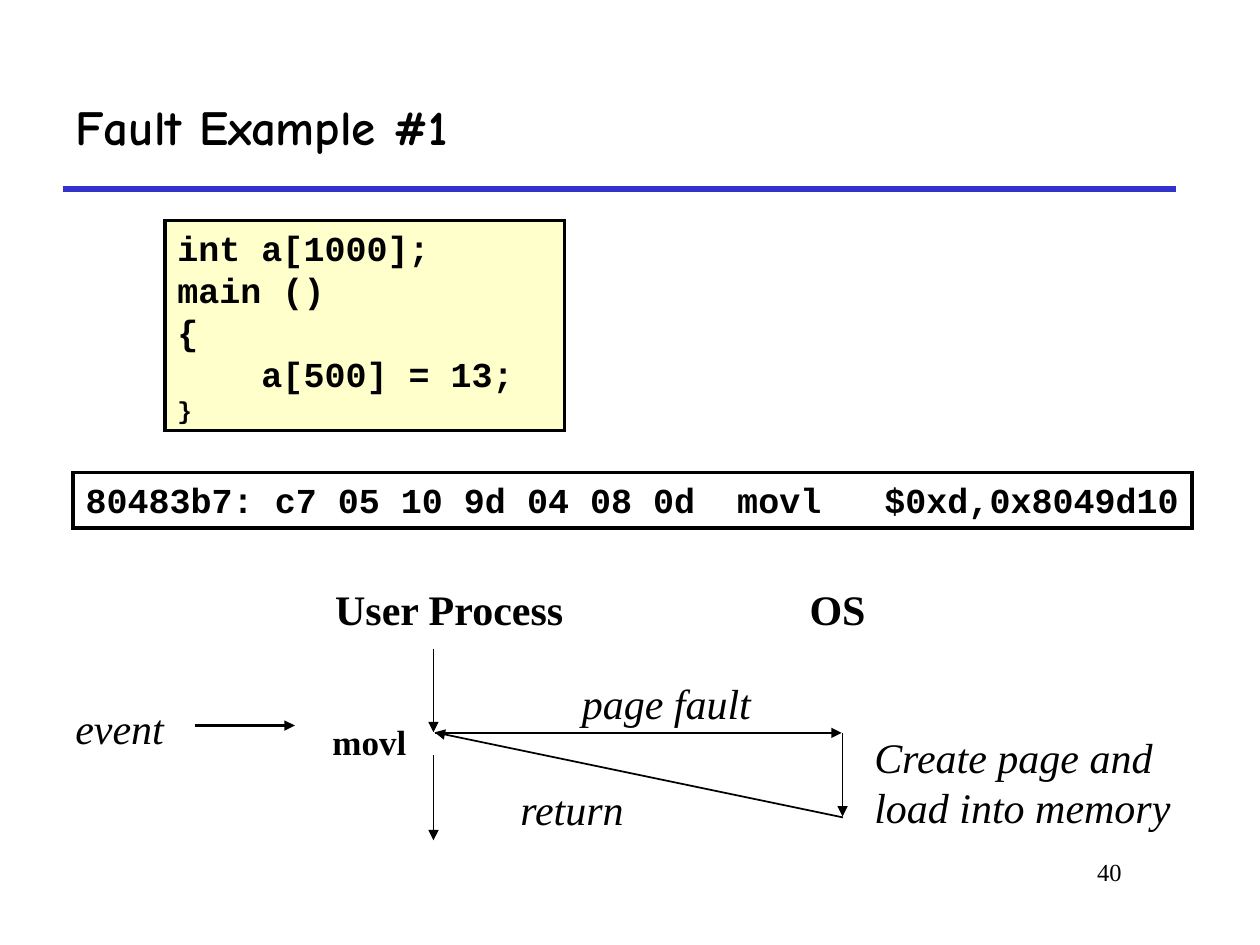
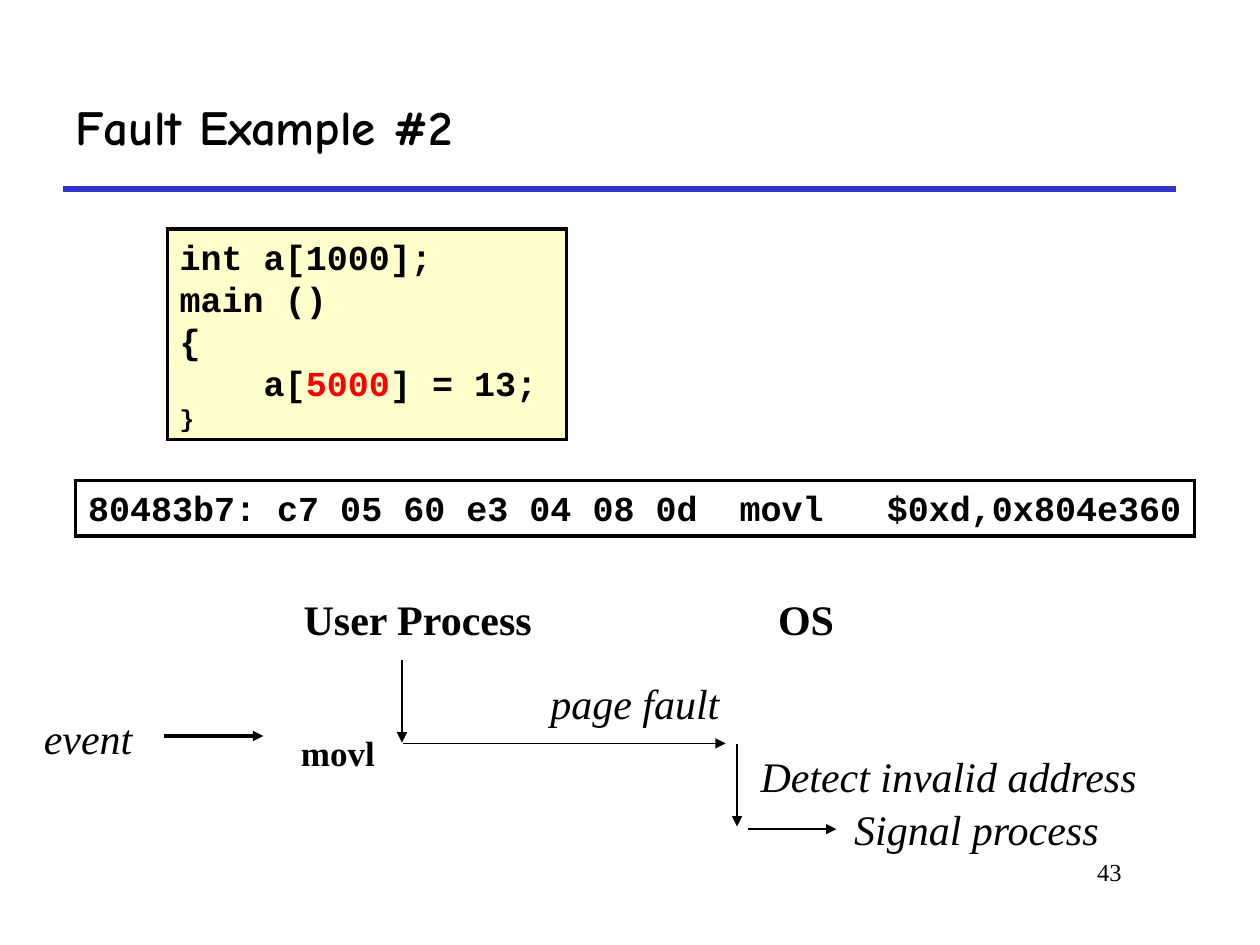
from lxml import etree
from pptx import Presentation
from pptx.dml.color import RGBColor
from pptx.enum import shapes, text
from pptx.oxml.ns import qn
from pptx.util import Pt

COLORS = {"ink": "000000", "rule": "3333CC", "code": "FFFFCC", "paper": "FFFFFF", "alert": "FF0000"}
FORMATS = {
    "title": {"name": "Comic Neue", "size": Pt(28), "bold": True},
    "heading": {"name": "Times New Roman", "size": Pt(24), "bold": True},
    "label": {"name": "Times New Roman", "size": Pt(24), "italic": True},
    "instruction": {"name": "Times New Roman", "size": Pt(20), "bold": True},
    "number": {"name": "Times New Roman", "size": Pt(14)},
    "code": {"name": "Courier New", "size": Pt(20), "bold": True},
    "code end": {"name": "Courier New", "size": Pt(14), "bold": True},
}

# Texts: words, format, left, top, width, height, wrap
# Arrows: from x, from y, to x, to y, line width
SHARED_TEXTS = [
    ("User Process", "heading", 184.4, 329.8, 145.4, 36, False),
    ("OS", "heading", 455.5, 329.8, 60, 36, True),
    ("event", "label", 36, 397.8, 66, 36, True),
    ("movl", "instruction", 182.9, 408.2, 57, 31.7, False),
]
SHARED_ARROWS = [(247.7, 371, 247.7, 418.4, 1), (111.6, 414.6, 168.5, 414.6, 2)]

FAULTS = [
    {
        "title": "Fault Example #1", "number": "40", "index": "500",
        "machine code": "80483b7: c7 05 10 9d 04 08 0d  movl   $0xd,0x8049d10",
        "index color": "ink", "code at": (94.3, 126), "machine at": (41.8, 270),
        "shift": (0, 0),
        "texts": [
            ("page fault", "label", 325.4, 383.8, 111, 36, False),
            ("Create page and load into memory", "label", 492.5, 414.4, 209.5, 64.8, True),
            ("return", "label", 290.2, 444.2, 74, 36, False),
        ],
        "arrows": [
            (248.4, 418.8, 481, 418.8, 1),
            (481.5, 419, 481.5, 466.6, 1),
            (481.7, 467.1, 248.4, 418.5, 1),
            (247.7, 431.3, 247.7, 480.2, 1),
        ],
    },
    {
        "title": "Fault Example #2", "number": "43", "index": "5000",
        "machine code": "80483b7: c7 05 60 e3 04 08 0d  movl   $0xd,0x804e360",
        "index color": "alert", "code at": (95.6, 131), "machine at": (43.2, 274.5),
        "shift": (-18, 6),
        "texts": [
            ("page fault", "label", 307.4, 383.8, 111, 36, False),
            ("Detect invalid address", "label", 427.5, 425.5, 242, 36, True),
            ("Signal process", "label", 481, 455.5, 208.8, 36, True),
        ],
        "arrows": [
            (230.4, 424.8, 414.7, 424.8, 1),
            (421.2, 425, 421.2, 472.3, 1),
            (427.7, 473.8, 478, 473.8, 1),
        ],
    },
]


def write(shape, lines, wrap=True, anchor=text.MSO_ANCHOR.TOP, align=text.PP_ALIGN.LEFT):
    """Fill a shape with lines, each a format name and its (words, color) runs."""
    frame = shape.text_frame
    frame.word_wrap = wrap
    frame.vertical_anchor = anchor
    for number, (style, runs) in enumerate(lines):
        paragraph = frame.add_paragraph() if number else frame.paragraphs[0]
        paragraph.alignment = align
        paragraph.line_spacing = Pt(FORMATS[style]["size"].pt * 1.2)
        for words, color in runs:
            run = paragraph.add_run()
            run.text = words
            for name, value in FORMATS[style].items():
                setattr(run.font, name, value)
            run.font.color.rgb = RGBColor.from_string(COLORS[color])


def add_line(slide, ends, width, color="ink", arrow=True):
    line = slide.shapes.add_connector(shapes.MSO_CONNECTOR.STRAIGHT, *map(Pt, ends))
    line.line.width = Pt(width)
    line.line.color.rgb = RGBColor.from_string(COLORS[color])
    if arrow:
        etree.SubElement(line.line._get_or_add_ln(), qn("a:tailEnd"), type="triangle")
    etree.SubElement(line._element.spPr, qn("a:effectLst"))


presentation = Presentation()
presentation.slide_width, presentation.slide_height = Pt(720), Pt(540)

for fault in FAULTS:
    slide = presentation.slides.add_slide(presentation.slide_layouts[6])
    add_line(slide, (36, 108, 672, 108), 3, "rule", arrow=False)

    number = slide.shapes.add_textbox(Pt(546), Pt(486), Pt(102), Pt(36))
    write(number, [("number", [(fault["number"], "ink")])], align=text.PP_ALIGN.RIGHT)
    title = slide.shapes.add_textbox(Pt(36), Pt(36), Pt(636), Pt(72))
    write(title, [("title", [(fault["title"], "ink")])], anchor=text.MSO_ANCHOR.MIDDLE)

    # Control flow between the user process and the OS
    dx, dy = fault["shift"]
    shared = [(words, style, x + dx, y + dy, *rest) for words, style, x, y, *rest in SHARED_TEXTS]
    for words, style, *place, wrap in shared + fault["texts"]:
        label = slide.shapes.add_textbox(*map(Pt, place))
        write(label, [(style, [(words, "ink")])], wrap)
    moved = [(x1 + dx, y1 + dy, x2 + dx, y2 + dy, width) for x1, y1, x2, y2, width in SHARED_ARROWS]
    for *ends, width in moved + fault["arrows"]:
        add_line(slide, ends, width)

    # Source code and the instruction compiled from it
    source = [("code", [(words, "ink")]) for words in ("int a[1000];", "main ()", "{")]
    source.append(("code", [("    a[", "ink"), (fault["index"], fault["index color"]), ("] = 13;", "ink")]))
    source.append(("code end", [("}", "ink")]))
    machine = [("code", [(fault["machine code"], "ink")])]
    for place, size, fill, lines, wrap in (
        (fault["code at"], (228.2, 120.2), "code", source, True),
        (fault["machine at"], (639.4, 31.7), "paper", machine, False),
    ):
        box = slide.shapes.add_shape(shapes.MSO_SHAPE.RECTANGLE, *map(Pt, place + size))
        box.shadow.inherit = False
        box.fill.solid()
        box.fill.fore_color.rgb = RGBColor.from_string(COLORS[fill])
        box.line.color.rgb = RGBColor.from_string(COLORS["ink"])
        box.line.width = Pt(2)
        etree.SubElement(box.line._get_or_add_ln(), qn("a:miter"), lim="800000")
        write(box, lines, wrap)

presentation.save("out.pptx")
